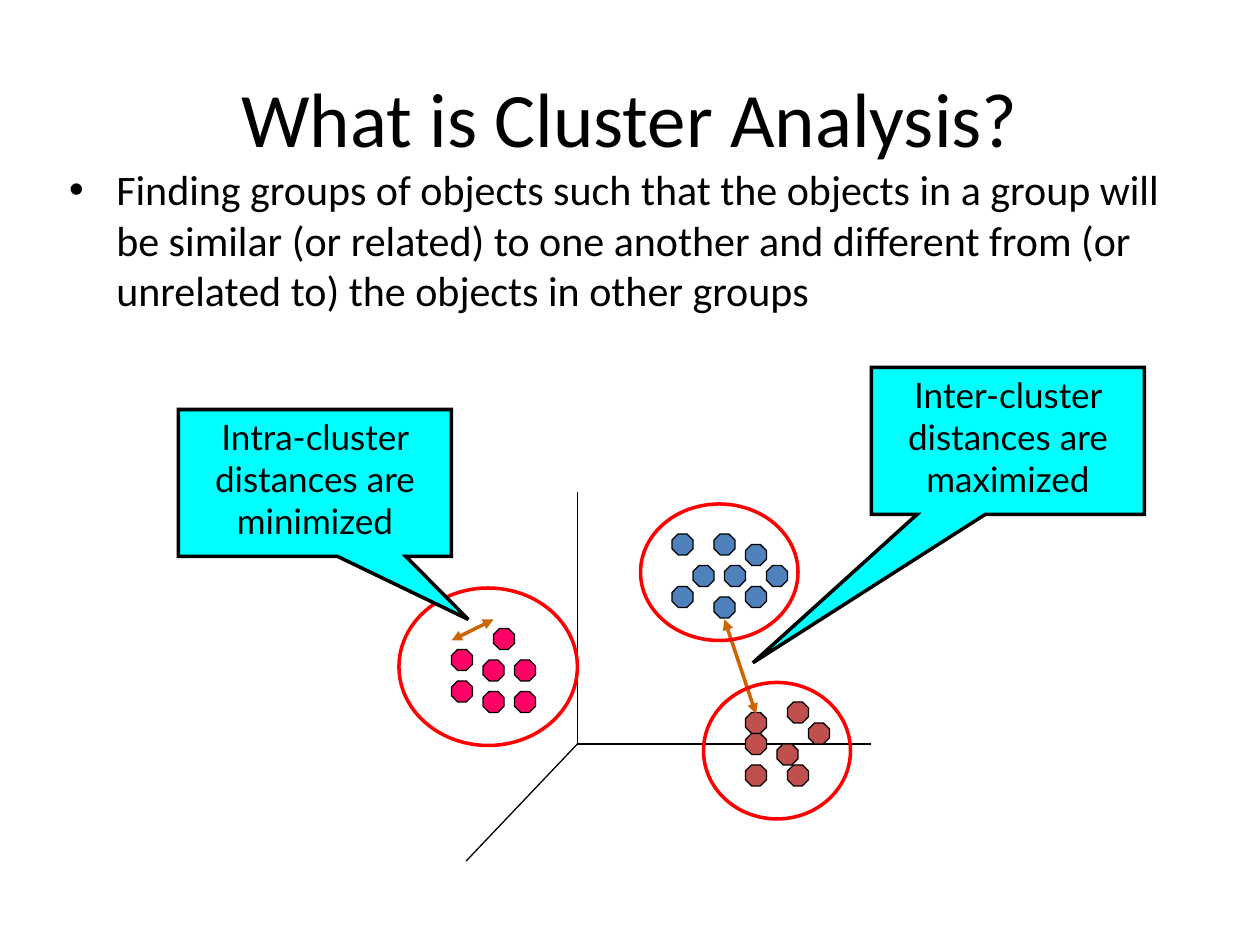
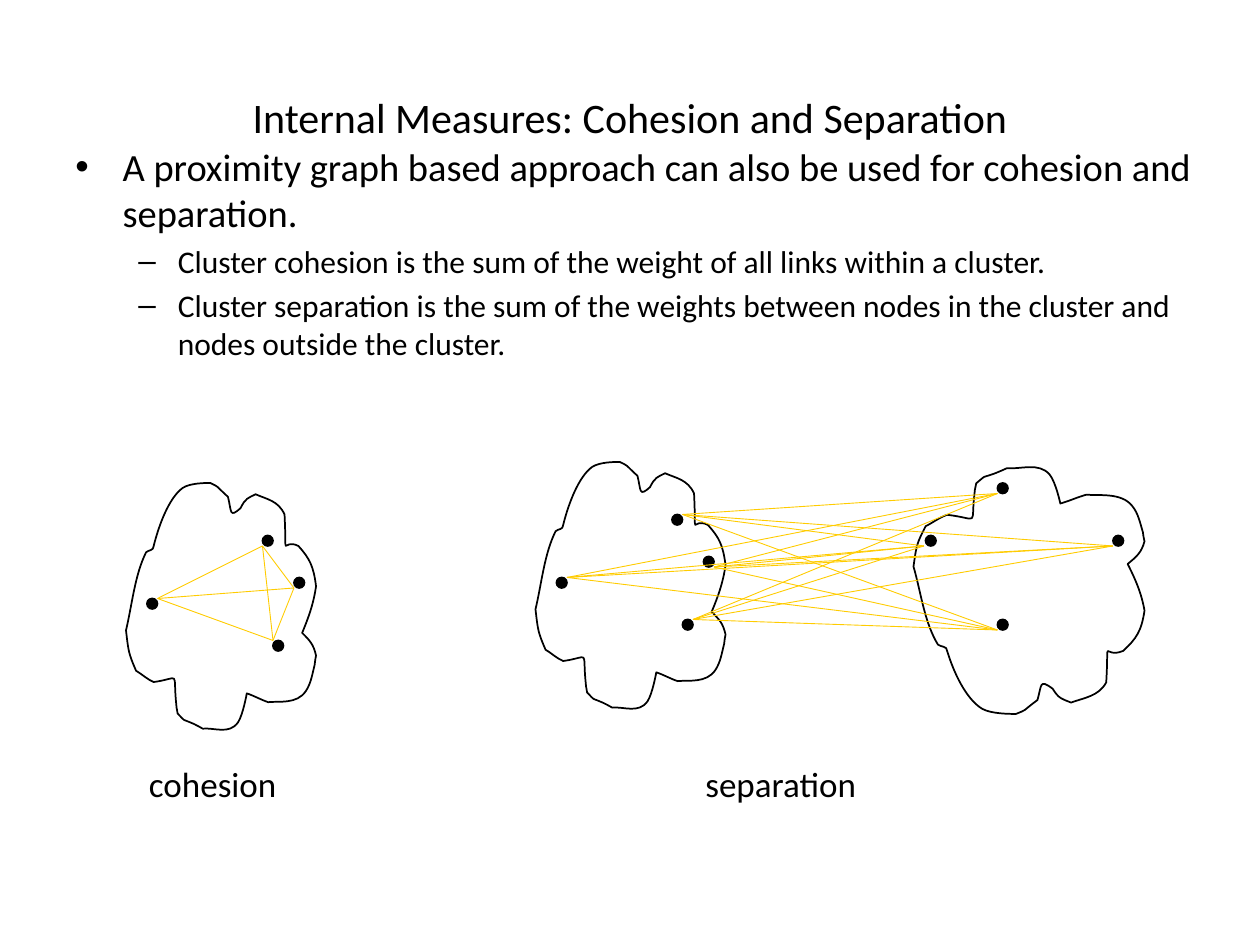
import itertools

import lxml.etree
import pptx
import pptx.dml.color
import pptx.enum.shapes
import pptx.enum.text
import pptx.oxml.ns
import pptx.util

# Grid: 120 columns by 90 rows, 12 to the inch
WIDTH, HEIGHT = pptx.util.Inches(10), pptx.util.Inches(7.5)
COLS, ROWS = 120, 90

FONT, CALLOUT_FONT = "Calibri", "Lato"
BLACK, RED, CYAN = "000000", "FF0000", "00FFFF"
BLUE, PINK, BRICK = "4F81BD", "FF0066", "C0504D"
ARROW, LINK = "CC6600", "FFCC00"

SHAPES = pptx.enum.shapes.MSO_SHAPE
ANCHOR = pptx.enum.text.MSO_ANCHOR
CENTER = pptx.enum.text.PP_ALIGN.CENTER

# Bullet sign, indent and hang in columns for each outline level
BULLETS = [("•", 4.5, 4.5), ("–", 9.75, 3.75)]

# Top left cells of the objects in each cluster
CLUSTERS = {
    BLUE: [(66, 54), (69, 54), (68, 51), (68, 57), (73, 54), (71, 52),
           (64, 51), (71, 56), (64, 56)],
    PINK: [(43, 62), (46, 63), (46, 66), (49, 63), (47, 60), (49, 66),
           (43, 65)],
    BRICK: [(71, 68), (77, 69), (74, 71), (71, 73), (75, 73), (71, 70),
            (75, 67)],
}
RINGS = [(38, 56, 17, 15), (61, 48, 15, 13), (67, 65, 14, 13)]

# Cloud outline in a box of 151 by 200: a start, then cubic Bezier triples
CLOUD_BOX = (151, 200)
CLOUD_START = (16, 55)
CLOUD_CURVES = [
    (7, 73), (5, 96), (0, 117), (2, 134), (2, 135), (8, 149),
    (13, 152), (17, 156), (22, 158), (44, 155), (37, 148), (40, 176),
    (40, 179), (41, 181), (41, 183), (48, 190), (44, 187), (51, 190),
    (54, 191), (61, 195), (61, 195), (70, 194), (82, 200), (89, 190),
    (93, 184), (96, 167), (96, 167), (102, 169), (107, 172), (113, 174),
    (121, 173), (136, 176), (143, 165), (147, 159), (148, 152), (150, 144),
    (150, 142), (151, 137), (151, 137), (149, 128), (146, 125), (140, 119),
    (145, 107), (149, 96), (151, 82), (149, 66), (146, 60), (137, 50),
    (123, 43), (128, 65), (126, 25), (121, 14), (112, 13), (103, 9),
    (97, 12), (95, 12), (91, 20), (82, 28), (84, 23), (81, 11),
    (70, 1), (75, 4), (67, 0), (63, 0), (51, 0), (45, 4),
    (34, 12), (26, 34), (22, 50), (22, 54), (18, 53), (16, 55),
]

# Nodes relative to the cloud's top left cell, and where their links attach
NODES = [(14, 15), (13, 5), (2, 11), (16, 9)]
INNER_ENDS = [(14, 15), (13, 6), (3, 11), (16, 10)]
OUTER_ENDS = [(15, 15), (14, 5), (3, 11), (17, 10)]
FAR_NODES = [(19, 7), (1.15, 7), (8, 15), (8, 2)]
FAR_ENDS = [(19, 8), (1, 8), (8, 16), (8, 3)]


def x(col):
    return round(WIDTH * col / COLS)


def y(row):
    return round(HEIGHT * row / ROWS)


def box(col, row, cols, rows):
    return x(col), y(row), x(cols), y(rows)


def shift(points, col, row):
    return [(c + col, r + row) for c, r in points]


def rgb(value):
    return pptx.dml.color.RGBColor.from_string(value)


def add_xml(parent, tag, **attributes):
    return lxml.etree.SubElement(parent, pptx.oxml.ns.qn(tag), attributes)


def paint(sp, fill=None, line=BLACK, width=0.75):
    sp.shadow.inherit = False
    if fill:
        sp.fill.solid()
        sp.fill.fore_color.rgb = rgb(fill)
    else:
        sp.fill.background()
    sp.line.color.rgb = rgb(line)
    sp.line.width = pptx.util.Pt(width)


def add_text(tf, text, size=20, font=FONT, color=BLACK, align=None,
             before=0, level=None):
    """Fill the first paragraph if it is empty, otherwise add another one."""
    p = tf.paragraphs[0] if not tf.text else tf.add_paragraph()
    p.alignment = align
    p.space_before = pptx.util.Pt(before)
    r = p.add_run()
    r.text = text
    r.font.size = pptx.util.Pt(size)
    r.font.name = font
    r.font.color.rgb = rgb(color)
    if level is not None:
        p.level = level
        sign, indent, hang = BULLETS[level]
        pPr = p._p.get_or_add_pPr()
        pPr.set("marL", str(x(indent)))
        pPr.set("indent", str(-x(hang)))
        add_xml(pPr, "a:buFont", typeface="Arial")
        add_xml(pPr, "a:buChar", char=sign)


def add_textbox(slide, area, wrap=True, anchor=ANCHOR.TOP):
    tf = slide.shapes.add_textbox(*box(*area)).text_frame
    tf.word_wrap = wrap
    tf.vertical_anchor = anchor
    return tf


def add_title(slide, text, size):
    tf = add_textbox(slide, (6, 3.6, 108, 15), anchor=ANCHOR.MIDDLE)
    add_text(tf, text, size=size, align=CENTER)


def add_caption(slide, text, col, cols):
    tf = add_textbox(slide, (col, 72, cols, 5.2), wrap=False)
    tf.auto_size = pptx.enum.text.MSO_AUTO_SIZE.SHAPE_TO_FIT_TEXT
    add_text(tf, text)


def add_preset(slide, kind, area, **look):
    sp = slide.shapes.add_shape(kind, *box(*area))
    paint(sp, **look)
    return sp


def add_callout(slide, text, area, tip):
    """Add a callout whose pointer ends at the grid point tip."""
    sp = add_preset(slide, SHAPES.RECTANGULAR_CALLOUT, area, fill=CYAN, width=2)
    col, row, cols, rows = area
    sp.adjustments[0] = (tip[0] - col) / cols - 0.5
    sp.adjustments[1] = (tip[1] - row) / rows - 0.5
    add_xml(sp.line._get_or_add_ln(), "a:miter", lim="800000")
    tf = sp.text_frame
    tf.word_wrap = True
    tf.vertical_anchor = ANCHOR.TOP
    add_text(tf, text, font=CALLOUT_FONT, align=CENTER)


def add_line(slide, start, end, color=BLACK, width=0.75, arrows=False):
    cn = slide.shapes.add_connector(
        pptx.enum.shapes.MSO_CONNECTOR.STRAIGHT,
        x(start[0]), y(start[1]), x(end[0]), y(end[1]))
    cn.line.color.rgb = rgb(color)
    cn.line.width = pptx.util.Pt(width)
    if arrows:
        for tag in ("a:headEnd", "a:tailEnd"):
            add_xml(cn.line._get_or_add_ln(), tag, type="triangle")
    add_xml(cn._element.spPr, "a:effectLst")


def add_links(slide, pairs):
    for start, end in pairs:
        add_line(slide, start, end, LINK, 0.5)


def curve_segments(sp):
    """Turn each three straight segments of a freeform into one Bezier curve."""
    segments = list(sp._element.iter(pptx.oxml.ns.qn("a:lnTo")))
    for first, second, third in zip(*[iter(segments)] * 3):
        curve = lxml.etree.Element(pptx.oxml.ns.qn("a:cubicBezTo"))
        first.addprevious(curve)
        for segment in (first, second, third):
            curve.append(segment[0])
            segment.getparent().remove(segment)


def add_cloud(slide, col, row, cols=18.1, nodes=NODES, flip=False):
    rows = 24
    shares = [(px / CLOUD_BOX[0], py / CLOUD_BOX[1])
              for px, py in [CLOUD_START] + CLOUD_CURVES]
    points = [(x(col + cols * px), y(row + rows * (1 - py if flip else py)))
              for px, py in shares]
    builder = slide.shapes.build_freeform(*points[0])
    builder.add_line_segments(points[1:], close=True)
    sp = builder.convert_to_shape()
    # Closing may repeat the start point, which is not part of a curve
    curve_segments(sp)
    paint(sp, width=1)
    for c, r in shift(nodes, col, row):
        add_preset(slide, SHAPES.OVAL, (c, r, 1, 1), fill=BLACK, width=1)


def build_cluster_analysis(slide):
    add_title(slide, "What is Cluster Analysis?", 44)
    tf = add_textbox(slide, (5.4, 15, 109.2, 17))
    add_text(tf, "Finding groups of objects such that the objects in a group "
             "will be similar (or related) to one another and different from "
             "(or unrelated to) the objects in other groups",
             size=24, level=0)

    origin = (55, 70.85)
    for axis_end in ((55, 46.85), (83, 70.85), (44.4, 82)):
        add_line(slide, origin, axis_end)
    for color, cells in CLUSTERS.items():
        for col, row in shift(cells, 0, -0.15):
            add_preset(slide, SHAPES.OCTAGON, (col, row, 2, 2), fill=color)

    add_line(slide, (72, 68), (69, 59), ARROW, 2, arrows=True)
    add_callout(slide, "Inter-cluster distances are maximized",
                (83, 35, 26, 14), (71.7, 63.13))
    for ring in RINGS:
        add_preset(slide, SHAPES.OVAL, ring, line=RED, width=2)
    add_line(slide, (43, 61), (47, 59), ARROW, 2, arrows=True)
    add_callout(slide, "Intra-cluster distances are minimized",
                (17, 39, 26, 14), (44.61, 59))


def build_cohesion_separation(slide):
    tf = add_textbox(slide, (6, 13, 111, 70))
    add_text(tf, "A proximity graph based approach can also be used for "
             "cohesion and separation.", size=22, level=0)
    for text in ("Cluster cohesion is the sum of the weight of all links "
                 "within a cluster.",
                 "Cluster separation is the sum of the weights between nodes "
                 "in the cluster and nodes outside the cluster."):
        add_text(tf, text, size=18, before=3.8, level=1)
    add_title(slide, "Internal Measures: Cohesion and Separation", 24)

    near, far, single = (51, 44), (87, 44), (12, 46)
    add_cloud(slide, *near)
    add_cloud(slide, *far, cols=22, nodes=FAR_NODES, flip=True)
    add_links(slide, itertools.product(shift(OUTER_ENDS, *near),
                                       shift(FAR_ENDS, *far)))

    add_cloud(slide, *single)
    add_links(slide, itertools.combinations(shift(INNER_ENDS, *single), 2))
    add_caption(slide, "cohesion", 13, 15.7)
    add_caption(slide, "separation", 66, 18)


def main():
    prs = pptx.Presentation()
    prs.slide_width, prs.slide_height = WIDTH, HEIGHT
    for build in (build_cluster_analysis, build_cohesion_separation):
        build(prs.slides.add_slide(prs.slide_layouts[6]))
    prs.save("out.pptx")


if __name__ == "__main__":
    main()
